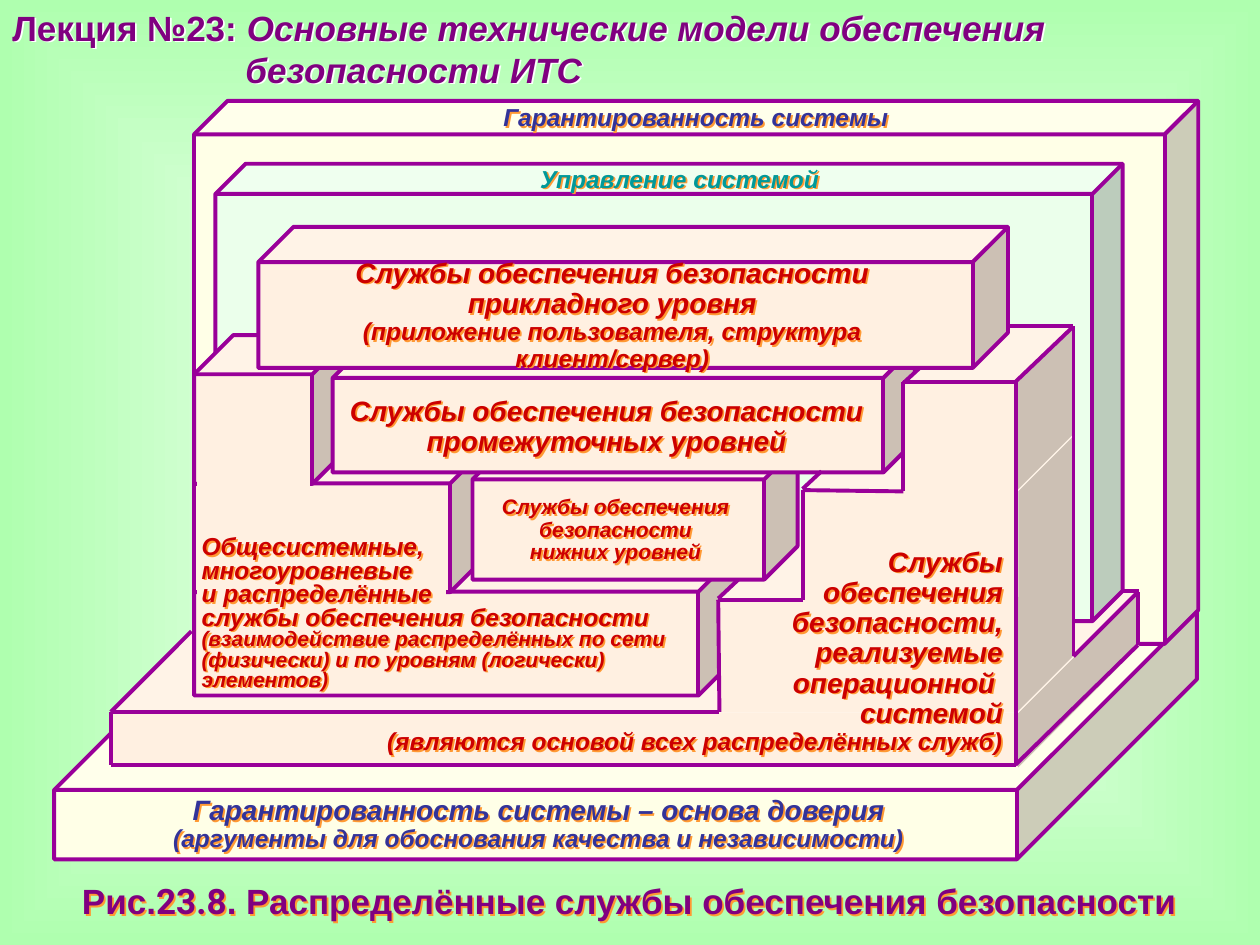
from itertools import pairwise

from pptx import Presentation
from pptx.dml.color import RGBColor
from pptx.enum.shapes import MSO_CONNECTOR, MSO_SHAPE
from pptx.enum.text import MSO_ANCHOR, MSO_AUTO_SIZE as AutoSize, PP_ALIGN
from pptx.oxml import parse_xml
from pptx.oxml.ns import nsdecls
from pptx.util import Inches, Pt

PURPLE = RGBColor(0x80, 0x00, 0x80)
EDGE = RGBColor(0x99, 0x00, 0x99)
CREAM = RGBColor(0xFF, 0xFF, 0xE7)
PEACH = RGBColor(0xFF, 0xF0, 0xE1)
MINT = RGBColor(0xEB, 0xFF, 0xEB)
NAVY = RGBColor(0x33, 0x33, 0x99)
TEAL = RGBColor(0x00, 0x99, 0x99)
RED = RGBColor(0xCC, 0x00, 0x00)
ORANGE = RGBColor(0xFF, 0x99, 0x33)
WHITE = RGBColor(0xFF, 0xFF, 0xFF)

LEFT, CENTER, RIGHT = PP_ALIGN.LEFT, PP_ALIGN.CENTER, PP_ALIGN.RIGHT
TOP, MIDDLE = MSO_ANCHOR.TOP, MSO_ANCHOR.MIDDLE
EDGE_WIDTH = 2.25

# left, top, width, height, depth ratio, fill, outlined
BLOCKS = [
    (0.43, 4.84, 9.07, 1.98, 0.722, CREAM, True),
    (1.54, 0.8, 7.97, 4.31, 0.062, CREAM, True),
    (0.89, 4.7, 8.15, 1.39, 0.69, PEACH, False),
    (1.71, 1.3, 7.2, 3.63, 0.066, MINT, True),
    (1.54, 4.28, 4.42, 1.24, 0.336, PEACH, True),
    (5.71, 4.29, 2.82, 1.36, 0.336, PEACH, False),
    (1.54, 3.4, 2.47, 1.3, 0.336, PEACH, True),
    (3.75, 3.54, 2.58, 1.06, 0.25, PEACH, True),
    (6.38, 3.45, 2.15, 1.3, 0.344, PEACH, False),
    (1.54, 2.66, 1.25, 1.18, 0.263, PEACH, True),
    (2.64, 2.75, 4.62, 1, 0.25, PEACH, True),
    (7.17, 2.59, 1.35, 1.3, 0.344, PEACH, False),
    (2.05, 1.8, 5.95, 1.12, 0.25, PEACH, True),
]

# left, top, width, height, line width
SEAM_COVERS = [
    (1.57, 3.57, 0.88, 1.42, 1.5),
    (2.28, 4.34, 1.25, 0.59, 2),
    (7.18, 3.77, 0.88, 0.2, None),
]

OUTLINES = [
    [(1.54, 2.97), (1.54, 5.5)],
    [(8.01, 2.59), (8.52, 2.59), (8.52, 5.21), (9.03, 4.7), (9.03, 5.12),
     (8.06, 6.07), (0.88, 6.07), (0.88, 5.65), (1.52, 5.01)],
    [(0.88, 5.65), (5.71, 5.65), (5.7, 4.76), (6.37, 4.76), (6.37, 3.89),
     (7.17, 3.9), (7.17, 3.03), (8.06, 3.03), (8.06, 6.07)],
    [(8.91, 4.69), (9.04, 4.69)],
    [(8.06, 3.03), (8.52, 2.59)],
    [(6.37, 3.88), (6.52, 3.74)],
    [(7.17, 3.04), (7.3, 2.92)],
    [(5.7, 4.75), (5.86, 4.6)],
]

# box, anchor, alignment, line spacing, colour, (text, size) paragraphs
LABELS = [
    ((3.81, 0.81, 3.43, 0.23), MIDDLE, CENTER, 1.0, NAVY,
     [("Гарантированность системы", 14)]),
    ((3.68, 1.3, 3.43, 0.23), MIDDLE, CENTER, 1.0, TEAL,
     [("Управление системой", 14)]),
    ((1.6, 4.26, 3.9, 1.22), TOP, LEFT, 0.8, RED,
     [("Общесистемные,", 14), ("многоуровневые", 14), ("и распределённые", 14),
      ("службы обеспечения безопасности", 14),
      ("(взаимодействие распределённых по сети (физически) "
       "и по уровням (логически) элементов)", 12)]),
    ((2.99, 4.35, 4.97, 1.66), TOP, RIGHT, 0.9, RED,
     [("Службы", 16), ("обеспечения", 16), ("безопасности,", 16),
      ("реализуемые", 16), ("операционной ", 16), ("системой", 16),
      ("(являются основой всех распределённых служб)", 14)]),
    ((1.2, 6.32, 6.15, 0.45), MIDDLE, CENTER, 0.9, NAVY,
     [("Гарантированность системы – основа доверия", 16),
      ("(аргументы для обоснования качества и независимости)", 14)]),
    ((2.11, 2.16, 5.5, 0.69), MIDDLE, CENTER, 0.9, RED,
     [("Службы обеспечения безопасности", 16), ("прикладного уровня", 16),
      ("(приложение пользователя, структура клиент/сервер)", 14)]),
    ((2.7, 3.15, 4.23, 0.48), MIDDLE, CENTER, 0.9, RED,
     [("Службы обеспечения безопасности", 16), ("промежуточных уровней", 16)]),
    ((3.79, 3.94, 2.19, 0.54), MIDDLE, CENTER, 0.9, RED,
     [("Службы обеспечения безопасности", 12), ("нижних уровней", 12)]),
]


def paint_background(slide):
    """Radiate from white in the centre to green at the edges."""
    slide.element.cSld.insert(0, parse_xml(
        f'<p:bg {nsdecls("p", "a")}><p:bgPr><a:gradFill rotWithShape="1"><a:gsLst>'
        '<a:gs pos="0"><a:srgbClr val="FFFFFF"/></a:gs>'
        '<a:gs pos="100000"><a:srgbClr val="AFFFAF"/></a:gs></a:gsLst>'
        '<a:path path="rect"><a:fillToRect l="50000" t="50000" r="50000" b="50000"/></a:path>'
        '</a:gradFill><a:effectLst/></p:bgPr></p:bg>'))


def add_solid(slide, preset, box, fill, line_color=None, line_width=None):
    solid = slide.shapes.add_shape(preset, *map(Inches, box))
    solid.shadow.inherit = False
    solid.fill.solid()
    solid.fill.fore_color.rgb = fill
    if line_width:
        solid.line.color.rgb = line_color
        solid.line.width = Pt(line_width)
    else:
        solid.line.fill.background()
    return solid


def add_outline(slide, points):
    for start, end in pairwise(points):
        edge = slide.shapes.add_connector(
            MSO_CONNECTOR.STRAIGHT, *map(Inches, start + end))
        edge.line.color.rgb = EDGE
        edge.line.width = Pt(EDGE_WIDTH)
        edge.element.spPr.append(parse_xml(f'<a:effectLst {nsdecls("a")}/>'))


def add_text_area(slide, box, anchor, inset=(0, 0), shadow=ORANGE):
    """Add an empty text box whose letters cast a coloured shadow."""
    area = slide.shapes.add_textbox(*map(Inches, box))
    side, end = map(Inches, inset)
    settings = {"word_wrap": True, "auto_size": AutoSize.SHAPE_TO_FIT_TEXT,
                "vertical_anchor": anchor, "margin_left": side, "margin_right": side,
                "margin_top": end, "margin_bottom": end}
    for key, value in settings.items():
        setattr(area.text_frame, key, value)
    area.element.spPr.append(parse_xml(
        f'<a:effectLst {nsdecls("a")}><a:outerShdw dist="17961" dir="2700000" algn="ctr" '
        f'rotWithShape="0"><a:srgbClr val="{shadow}"/></a:outerShdw></a:effectLst>'))
    return area.text_frame


def add_run(paragraph, text, size, color, italic=False, face="Arial"):
    run = paragraph.add_run()
    run.text = text
    style = {"name": face, "size": Pt(size), "bold": True, "italic": italic}
    for key, value in style.items():
        setattr(run.font, key, value)
    run.font.color.rgb = color


def add_label(slide, box, anchor, alignment, spacing, color, lines):
    frame = add_text_area(slide, box, anchor)
    for index, (text, size) in enumerate(lines):
        paragraph = frame.add_paragraph() if index else frame.paragraphs[0]
        paragraph.alignment = alignment
        paragraph.line_spacing = spacing
        add_run(paragraph, text, size, color, italic=True)


def add_title(slide):
    frame = add_text_area(slide, (0, 0, 10, 0.77), TOP, (0.1, 0.05), WHITE)
    first, second = frame.paragraphs[0], frame.add_paragraph()
    add_run(first, "Лекция №23: ", 20, PURPLE)
    add_run(first, "Основные технические модели обеспечения", 20, PURPLE, italic=True)
    add_run(second, "безопасности ИТС", 20, PURPLE, italic=True)
    second._p.get_or_add_pPr().set("marL", str(Inches(1.85)))


def add_caption(slide):
    caption = add_text_area(slide, (0.27, 7.02, 9.45, 0.3), MIDDLE).paragraphs[0]
    caption.alignment = CENTER
    caption.line_spacing = 0.9
    add_run(caption, "Рис.", 20, PURPLE)
    add_run(caption, "23.8", 20, PURPLE, face="Roboto")
    add_run(caption, ". Распределённые службы обеспечения безопасности", 20, PURPLE)


def main():
    deck = Presentation()
    deck.slide_width, deck.slide_height = Inches(10), Inches(7.5)
    slide = deck.slides.add_slide(deck.slide_layouts[6])
    paint_background(slide)
    add_title(slide)
    for *box, depth, fill, outlined in BLOCKS:
        block = add_solid(slide, MSO_SHAPE.CUBE, box, fill, EDGE,
                          EDGE_WIDTH if outlined else None)
        block.adjustments[0] = depth
    for *box, width in SEAM_COVERS:
        add_solid(slide, MSO_SHAPE.RECTANGLE, box, PEACH, PEACH, width)
    for points in OUTLINES:
        add_outline(slide, points)
    for label in LABELS:
        add_label(slide, *label)
    add_caption(slide)
    deck.save("out.pptx")


if __name__ == "__main__":
    main()
